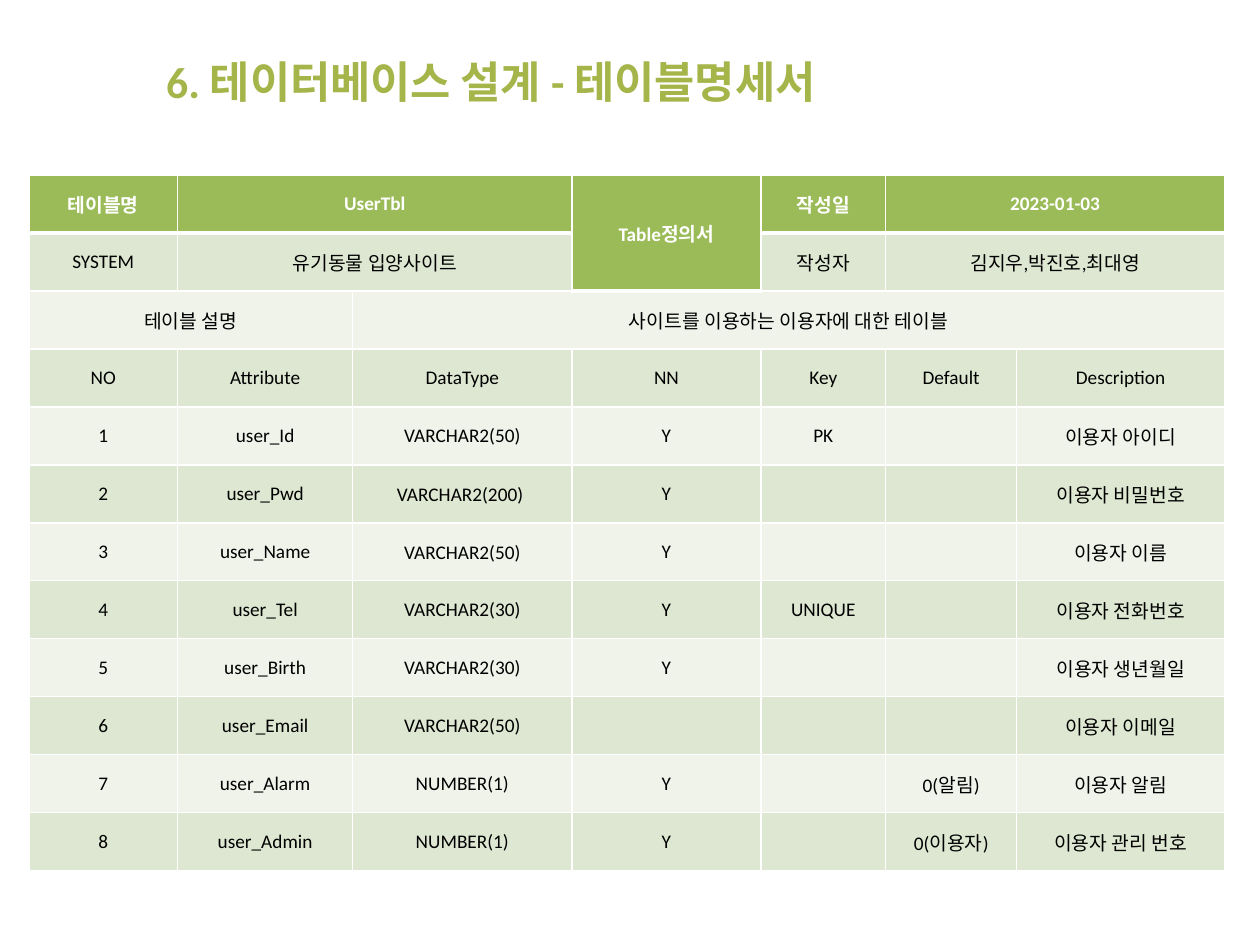
from lxml import etree
from pptx import Presentation
from pptx.dml.color import RGBColor
from pptx.enum.text import MSO_ANCHOR, PP_ALIGN
from pptx.oxml.ns import qn
from pptx.util import Inches, Pt

MIDDLE = MSO_ANCHOR.MIDDLE
LEFT, CENTER = PP_ALIGN.LEFT, PP_ALIGN.CENTER

FONT = "Calibri"
COLORS = {
    "title": "A5B54A",
    "header": "9BBB59",
    "band_dark": "DEE7D1",
    "band_light": "EFF3EA",
    "white": "FFFFFF",
    "text": "000000",
}

COL_WIDTHS = [1.18, 1.39, 1.74, 1.5, 0.99, 1.04, 1.65]
ROW_HEIGHT = 0.46
ROWS = [
    ["테이블명", "UserTbl", "", "Table정의서", "작성일", "2023-01-03", ""],
    ["SYSTEM", "유기동물 입양사이트", "", "", "작성자", "김지우,박진호,최대영", ""],
    ["테이블 설명", "", "사이트를 이용하는 이용자에 대한 테이블", "", "", "", ""],
    ["NO", "Attribute", "DataType", "NN", "Key", "Default", "Description"],
    ["1", "user_Id", "VARCHAR2(50)", "Y", "PK", "", "이용자 아이디"],
    ["2", "user_Pwd", "VARCHAR2(200) ", "Y", "", "", "이용자 비밀번호"],
    ["3", "user_Name", "VARCHAR2(50)", "Y", "", "", "이용자 이름"],
    ["4", "user_Tel", "VARCHAR2(30)", "Y", "UNIQUE", "", "이용자 전화번호"],
    ["5", "user_Birth", "VARCHAR2(30)", "Y", "", "", "이용자 생년월일"],
    ["6", "user_Email", "VARCHAR2(50)", "", "", "", "이용자 이메일"],
    ["7", "user_Alarm", "NUMBER(1)", "Y", "", "0(알림)", "이용자 알림"],
    ["8", "user_Admin", "NUMBER(1)", "Y", "", "0(이용자)", "이용자 관리 번호"],
]
MERGES = [
    ((0, 1), (0, 2)), ((0, 3), (1, 3)), ((0, 5), (0, 6)),
    ((1, 1), (1, 2)), ((1, 5), (1, 6)),
    ((2, 0), (2, 1)), ((2, 2), (2, 6)),
]
TIGHT_FIRST_ROW = 5
TIGHT_COLS = (2, 4, 5, 6)


def rgb(name):
    return RGBColor.from_string(COLORS[name])


def set_text(tf, text, size=11, color="text", bold=False, align=CENTER):
    p = tf.paragraphs[0]
    p.alignment = align
    p.font.size = Pt(size)
    if text:
        r = p.add_run()
        r.text = text
        r.font.name = FONT
        r.font.size = Pt(size)
        r.font.bold = bold
        r.font.color.rgb = rgb(color)


def set_borders(cell, top=1, bottom=1):
    tcPr = cell._tc.get_or_add_tcPr()
    for side, width in (("L", 1), ("R", 1), ("T", top), ("B", bottom)):
        ln = etree.SubElement(tcPr, qn(f"a:ln{side}"), w=str(Pt(width)))
        fill = etree.SubElement(ln, qn("a:solidFill"))
        etree.SubElement(fill, qn("a:srgbClr"), val=COLORS["white"])


def add_title(s, text):
    sp = s.shapes.add_textbox(Inches(1.22), Inches(0.25), Inches(8.28), Inches(0.79))
    tf = sp.text_frame
    tf.word_wrap = True
    tf.vertical_anchor = MIDDLE
    set_text(tf, text, size=25, color="title", bold=True, align=LEFT)


def format_cell(cell, text, row, col):
    header = row == 0
    set_borders(cell, top=3 if row == 1 else 1, bottom=3 if header else 1)
    band = "band_dark" if row % 2 else "band_light"
    cell.fill.solid()
    cell.fill.fore_color.rgb = rgb("header" if header else band)
    cell.vertical_anchor = MIDDLE
    if row >= TIGHT_FIRST_ROW and col in TIGHT_COLS:
        cell.margin_left = cell.margin_right = cell.margin_top = Inches(0.01)
        cell.margin_bottom = 0
    set_text(cell.text_frame, text, color="white" if header else "text", bold=header)


def add_spec_table(s):
    frame = s.shapes.add_table(
        len(ROWS), len(COL_WIDTHS), Inches(0.23), Inches(1.39),
        Inches(sum(COL_WIDTHS)), Inches(ROW_HEIGHT * len(ROWS)))
    table = frame.table
    for column, width in zip(table.columns, COL_WIDTHS):
        column.width = Inches(width)
    for row in table.rows:
        row.height = Inches(ROW_HEIGHT)
    for i, row in enumerate(ROWS):
        for j, text in enumerate(row):
            format_cell(table.cell(i, j), text, i, j)
    for start, end in MERGES:
        table.cell(*start).merge(table.cell(*end))


def main():
    prs = Presentation()
    prs.slide_width, prs.slide_height = Inches(10), Inches(7.5)
    s = prs.slides.add_slide(prs.slide_layouts[6])
    add_title(s, "6. 테이터베이스 설계 - 테이블명세서")
    add_spec_table(s)
    prs.save("out.pptx")


if __name__ == "__main__":
    main()
